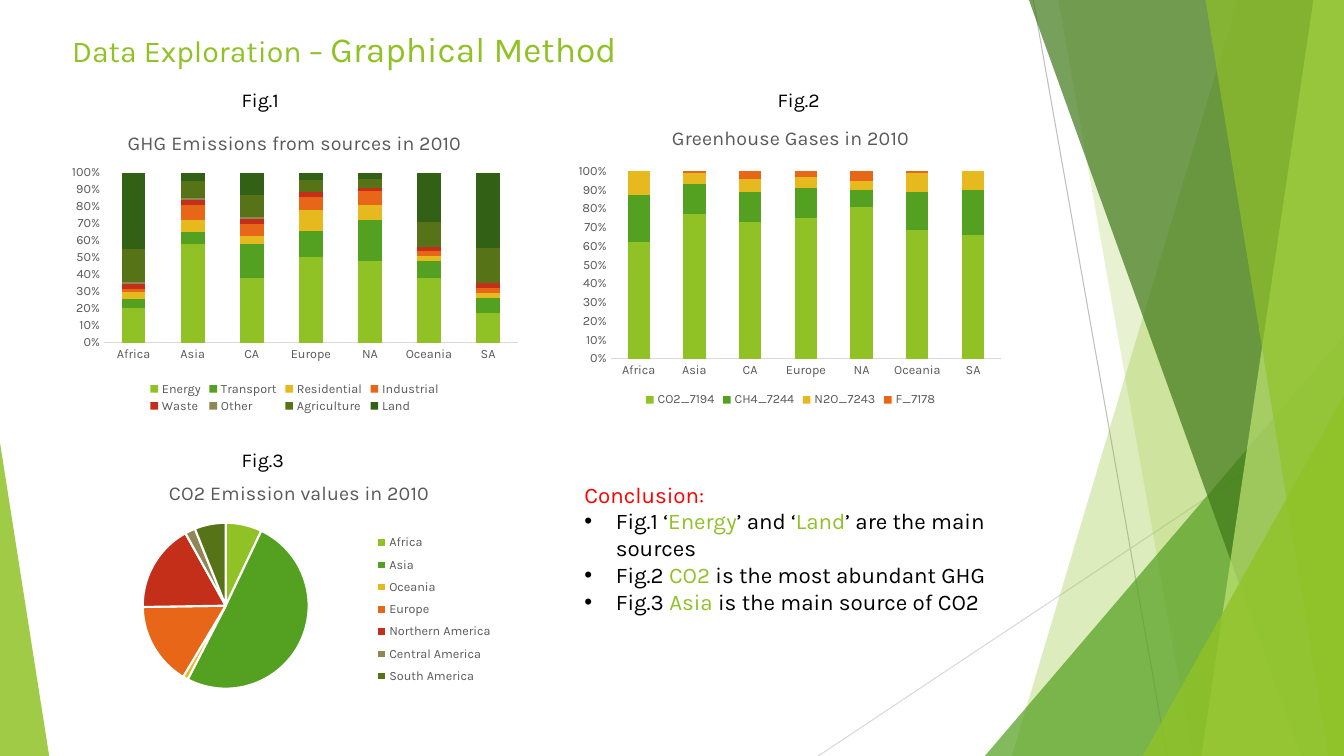
from lxml import etree
from pptx import Presentation
from pptx.chart.data import CategoryChartData
from pptx.dml.color import RGBColor
from pptx.enum.chart import XL_CHART_TYPE, XL_LEGEND_POSITION, XL_TICK_MARK
from pptx.enum.shapes import MSO_CONNECTOR, MSO_SHAPE
from pptx.enum.text import MSO_ANCHOR
from pptx.oxml.ns import qn
from pptx.util import Cm, Pt

STACKED, PIE = XL_CHART_TYPE.COLUMN_STACKED_100, XL_CHART_TYPE.PIE
BOTTOM, RIGHT = XL_LEGEND_POSITION.BOTTOM, XL_LEGEND_POSITION.RIGHT
NO_TICK = XL_TICK_MARK.NONE
STRAIGHT, TRIANGLE = MSO_CONNECTOR.STRAIGHT, MSO_SHAPE.ISOSCELES_TRIANGLE
MIDDLE = MSO_ANCHOR.MIDDLE

FONT = "Karla"
WIDTH, HEIGHT = 33.87, 19.05
COLORS = {
    "lime": "90C226", "green": "54A021", "gold": "E6B91E", "orange": "E76618",
    "brick": "C42F1A", "khaki": "918655", "olive": "567417", "forest": "326014",
    "moss": "3F7819", "pale": "C0E474", "red": "FF0000", "black": "000000",
    "white": "FFFFFF", "gray": "595959", "silver": "BFBFBF", "mist": "D9D9D9",
}
PALETTE = ["lime", "green", "gold", "orange", "brick", "khaki", "olive", "forest"]

REGIONS = ["Africa", "Asia", "CA", "Europe", "NA", "Oceania", "SA"]
SOURCES = {
    "Energy": [20, 58, 38, 50, 48, 38, 17],
    "Transport": [5, 7, 20, 15, 24, 10, 9],
    "Residential": [4, 7, 5, 12, 9, 3, 3],
    "Industrial": [2, 9, 7, 8, 8, 3, 3],
    "Waste": [3, 3, 3, 3, 2, 2, 3],
    "Other": [1, 1, 1, 0, 0, 0, 0],
    "Agriculture": [19, 10, 13, 7, 5, 15, 20],
    "Land": [44, 5, 13, 4, 4, 29, 44],
}
GASES = {
    "CO2_7194": [63, 77, 72, 75, 81, 68, 66],
    "CH4_7244": [25, 16, 16, 16, 9, 20, 24],
    "N2O_7243": [13, 6, 7, 6, 5, 10, 10],
    "F_7178": [0, 1, 4, 3, 5, 1, 0],
}
CO2_SHARES = {
    "Africa": 7, "Asia": 50, "Oceania": 1, "Europe": 16,
    "Northern America": 17, "Central America": 2, "South America": 6,
}
FINDINGS = [
    [("Fig.1 ‘", "black"), ("Energy", "lime"), ("’ and ‘", "black"),
     ("Land", "lime"), ("’ are the main sources", "black")],
    [("Fig.2 ", "black"), ("CO2", "lime"), (" is the most abundant GHG", "black")],
    [("Fig.3 ", "black"), ("Asia", "lime"), (" is the main source of CO2", "black")],
]


def rgb(name):
    return RGBColor.from_string(COLORS[name])


def paint(shape, color, opacity):
    """Flat see-through fill without outline or shadow."""
    shape.shadow.inherit = False
    shape.line.fill.background()
    shape.fill.solid()
    shape.fill.fore_color.rgb = rgb(color)
    tint = shape.element.spPr.find(qn("a:solidFill"))[0]
    etree.SubElement(tint, qn("a:alpha"), val=str(opacity * 1000))


def add_line(page, start, end, color):
    line = page.shapes.add_connector(STRAIGHT, *[Cm(v) for v in start + end])
    line.line.color.rgb = rgb(color)
    line.line.width = Pt(0.75)
    etree.SubElement(line.element.spPr, qn("a:effectLst"))


def add_band(page, top_x, bottom_x, color, opacity):
    """Full-height band from a slanted left edge to the right side."""
    builder = page.shapes.build_freeform(Cm(top_x), 0, scale=1.0)
    corners = [(WIDTH, 0), (WIDTH, HEIGHT), (bottom_x, HEIGHT)]
    builder.add_line_segments([(Cm(x), Cm(y)) for x, y in corners], close=True)
    paint(builder.convert_to_shape(), color, opacity)


def add_corner(page, left, top, width, peak, color, opacity):
    """Right triangle standing on the bottom edge."""
    corner = page.shapes.add_shape(
        TRIANGLE, Cm(left), Cm(top), Cm(width), Cm(HEIGHT - top))
    corner.adjustments[0] = peak
    paint(corner, color, opacity)


def style_font(font, size, color):
    font.name, font.size, font.bold = FONT, Pt(size), False
    font.color.rgb = rgb(color)


def add_span(para, text, size, color):
    span = para.add_run()
    span.text = text
    style_font(span.font, size, color)


def add_text(page, left, top, width, height, spans, wrap=True):
    box = page.shapes.add_textbox(Cm(left), Cm(top), Cm(width), Cm(height))
    box.text_frame.word_wrap = wrap
    for span in spans:
        add_span(box.text_frame.paragraphs[0], *span)
    return box.text_frame


def add_bullet(frame, spans):
    para = frame.add_paragraph()
    props = para._p.get_or_add_pPr()
    props.set("marL", str(Cm(0.79)))
    props.set("indent", str(-Cm(0.79)))
    etree.SubElement(props, qn("a:buFont"), typeface="Arial")
    etree.SubElement(props, qn("a:buChar"), char="•")
    for text, color in spans:
        add_span(para, text, 16, color)


def set_layout(parent, index, area, inner=False):
    """Fix a chart part at fractions x, y, w, h of the chart."""
    for old in parent.findall(qn("c:layout")):
        parent.remove(old)
    layout = etree.Element(qn("c:layout"))
    manual = etree.SubElement(layout, qn("c:manualLayout"))
    settings = [("layoutTarget", "inner")] if inner else []
    settings += [("xMode", "edge"), ("yMode", "edge")] + list(zip("xywh", area))
    for tag, value in settings:
        etree.SubElement(manual, qn("c:" + tag), val=str(value))
    parent.insert(index, layout)


def add_figure(page, kind, place, title, categories, series, plot, key, key_side):
    data = CategoryChartData()
    data.categories = categories
    for name, values in series.items():
        data.add_series(name, values)
    chart = page.shapes.add_chart(kind, *[Cm(v) for v in place], data).chart
    style_font(chart.font, 10, "black")
    chart.has_title = True
    add_span(chart.chart_title.text_frame.paragraphs[0], title, 14, "gray")
    chart.has_legend = True
    chart.legend.position = key_side
    chart.legend.include_in_layout = False
    style_font(chart.legend.font, 9, "gray")
    set_layout(chart.element.find(".//" + qn("c:plotArea")), 0, plot, inner=True)
    set_layout(chart.element.find(".//" + qn("c:legend")), 1, key)
    return chart


def add_columns(page, *details):
    chart = add_figure(page, STACKED, *details, BOTTOM)
    bars = chart.plots[0]
    bars.gap_width, bars.overlap, bars.vary_by_categories = 150, 100, False
    for series, color in zip(bars.series, PALETTE):
        series.format.fill.solid()
        series.format.fill.fore_color.rgb = rgb(color)
    for axis in (chart.category_axis, chart.value_axis):
        axis.major_tick_mark = axis.minor_tick_mark = NO_TICK
        axis.has_major_gridlines = False
        style_font(axis.tick_labels.font, 9, "gray")
    chart.category_axis.format.line.color.rgb = rgb("mist")
    chart.category_axis.format.line.width = Pt(0.75)
    chart.value_axis.format.line.fill.background()
    chart.value_axis.tick_labels.number_format = "0%"
    chart.value_axis.tick_labels.number_format_is_linked = False


def add_pie(page, *details):
    chart = add_figure(page, PIE, *details, RIGHT)
    pie = chart.plots[0]
    pie.vary_by_categories = True
    for index, color in enumerate(PALETTE[:len(CO2_SHARES)]):
        look = pie.series[0].points[index].format
        look.fill.solid()
        look.fill.fore_color.rgb = rgb(color)
        look.line.color.rgb = rgb("white")
        look.line.width = Pt(1.5)


def add_facets(page):
    add_line(page, (26.04, 0), (29.41, HEIGHT), "silver")
    add_line(page, (WIDTH, 10.24), (20.62, HEIGHT), "mist")
    add_band(page, 31.19, 25.5, "lime", 30)
    add_band(page, 26.67, 30.05, "lime", 20)
    add_corner(page, 24.82, 8.46, 9.05, 1, "green", 72)
    add_band(page, 25.93, 32.79, "moss", 70)
    add_band(page, 33.1, 30.28, "pale", 70)
    add_band(page, 30.38, 33.48, "lime", 65)
    add_corner(page, 28.8, 9.98, 5.07, 1, "lime", 80)
    add_corner(page, 0, 11.15, 1.24, 0, "lime", 85)


def main():
    deck = Presentation()
    deck.slide_width, deck.slide_height = Cm(WIDTH), Cm(HEIGHT)
    page = deck.slides.add_slide(deck.slide_layouts[6])
    add_facets(page)

    # Heading
    heading = add_text(page, 1.57, 0.58, 23.88, 1.27, [
        ("Data Exploration – ", 21.6, "lime"), ("Graphical Method", 25.2, "lime")])
    heading.vertical_anchor = MIDDLE

    # Charts
    add_columns(page, (14.4, 2.79, 11.05, 7.62), "Greenhouse Gases in 2010",
                REGIONS, GASES, (0.09, 0.2, 0.89, 0.62), (0.16, 0.93, 0.68, 0.07))
    add_pie(page, (1.57, 11.76, 11.94, 6.15), "CO2 Emission values in 2010",
            list(CO2_SHARES), {"Series 1": list(CO2_SHARES.values())},
            (0.16, 0.23, 0.37, 0.68), (0.65, 0.25, 0.27, 0.67))
    add_columns(page, (1.57, 2.9, 11.71, 7.65), "GHG Emissions from sources in 2010",
                REGIONS, SOURCES, (0.09, 0.19, 0.89, 0.56), (0.18, 0.87, 0.64, 0.12))

    # Conclusion
    conclusion = add_text(page, 14.48, 11.99, 11.4, 3.68, [("Conclusion:", 16, "red")])
    for finding in FINDINGS:
        add_bullet(conclusion, finding)

    # Figure labels
    for label, left, top in [("Fig.1", 5.84, 2.08), ("Fig.3", 5.84, 11.15),
                             ("Fig.2", 19.35, 2.08)]:
        add_text(page, left, top, 1.6, 0.86, [(label, 14, "black")], wrap=False)

    deck.save("out.pptx")


main()
